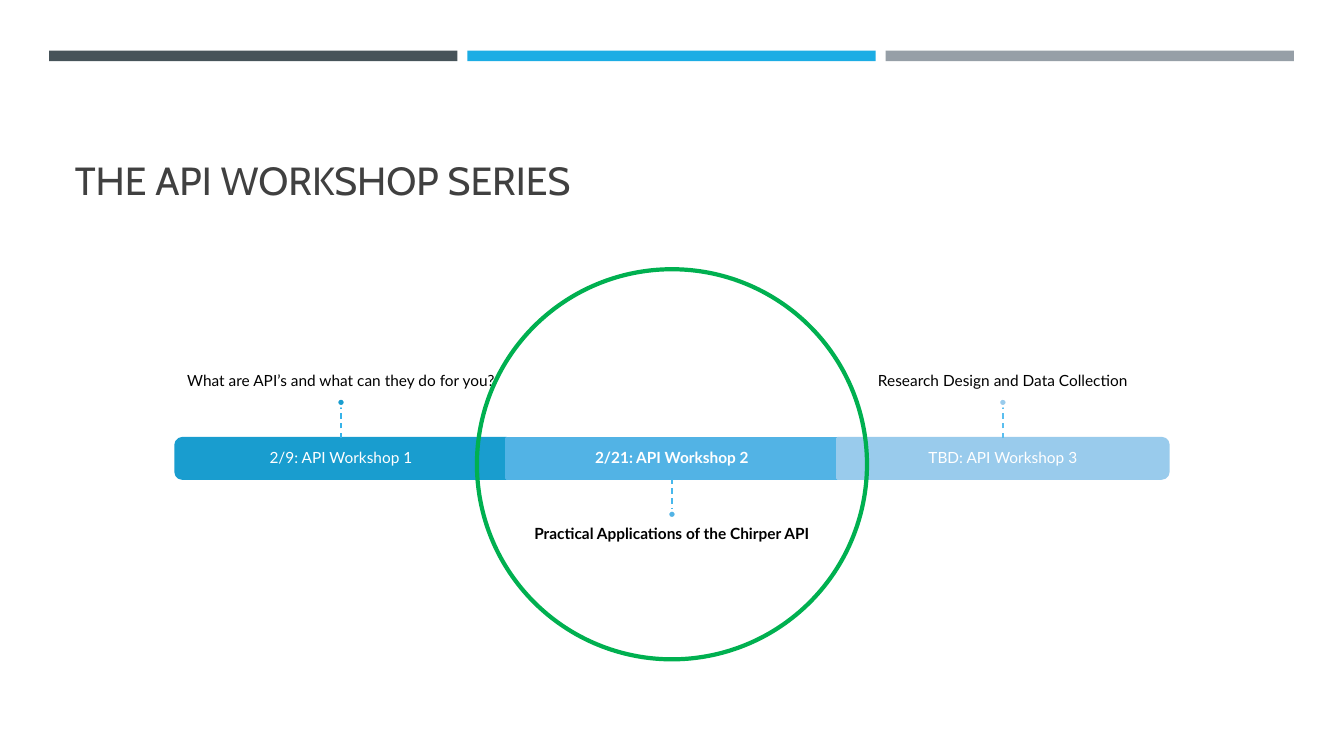
"""Build the API workshop series timeline slide."""
from dataclasses import dataclass

import pptx
import pptx.dml.color
import pptx.enum.dml
import pptx.enum.shapes
import pptx.enum.text
import pptx.oxml.ns
import pptx.util
from lxml import etree

Cm = pptx.util.Cm
Pt = pptx.util.Pt
RGBColor = pptx.dml.color.RGBColor
SHAPE = pptx.enum.shapes.MSO_SHAPE
ANCHOR = pptx.enum.text.MSO_ANCHOR
ALIGN = pptx.enum.text.PP_ALIGN

WHITE = RGBColor(0xFF, 0xFF, 0xFF)
BLACK = RGBColor(0x00, 0x00, 0x00)
TITLE_GREY = RGBColor(0x40, 0x40, 0x40)
GREEN = RGBColor(0x00, 0xB0, 0x50)
STRIPES = (RGBColor(0x46, 0x53, 0x59), RGBColor(0x1C, 0xAD, 0xE4), RGBColor(0x96, 0x9F, 0xA7))

SLIDE_W, SLIDE_H = 33.87, 19.05
CENTER_X = SLIDE_W / 2
STRIPE_LEFT, STRIPE_PITCH, STRIPE_W = 1.24, 10.54, 10.29
BAR_W, BAR_H, BAR_Y = 8.34, 1.02, 11.55
LABEL_W, LABEL_H = 13.92, 3.53
STEM, DOT, INSET = 0.8, 0.2, 0.23
CIRCLE_D, CIRCLE_Y = 9.83, 11.7


@dataclass
class Workshop:
    heading: str
    topic: str
    fill: RGBColor
    stem: RGBColor
    shape: int
    rotation: int = 0
    below: bool = False


WORKSHOPS = (
    Workshop("2/9: API Workshop 1", "What are API’s and what can they do for you?",
             RGBColor(0x19, 0x9D, 0xCF), RGBColor(0x36, 0xB3, 0xE9),
             SHAPE.ROUND_2_SAME_RECTANGLE, rotation=270),
    Workshop("2/21: API Workshop 2", "Practical Applications of the Chirper API",
             RGBColor(0x52, 0xB3, 0xE5), RGBColor(0x48, 0xB8, 0xEC),
             SHAPE.RECTANGLE, below=True),
    Workshop("TBD: API Workshop 3", "Research Design and Data Collection",
             RGBColor(0x99, 0xCB, 0xEC), RGBColor(0x5A, 0xBE, 0xEF),
             SHAPE.ROUND_2_SAME_RECTANGLE, rotation=90),
)


def add_shape(slide, kind: int, cx: float, cy: float, w: float, h: float, *,
              fill: RGBColor | None = None, line: RGBColor | None = None,
              weight: float = 1.75, rotation: int = 0) -> None:
    """Draw a preset shape around a centre point, in centimetres."""
    sp = slide.shapes.add_shape(kind, Cm(cx - w / 2), Cm(cy - h / 2), Cm(w), Cm(h))
    sp.shadow.inherit = False
    sp.rotation = rotation
    if fill is None:
        sp.fill.background()
    else:
        sp.fill.solid()
        sp.fill.fore_color.rgb = fill
    if line is None:
        sp.line.fill.background()
    else:
        sp.line.color.rgb = line
        sp.line.width = Pt(weight)


def write(tf, text: str, *, font: str, size: float, color: RGBColor, align: int,
          anchor: int, bold: bool = False, spacing: float = 0.9) -> None:
    """Put one formatted paragraph in a text frame."""
    tf.word_wrap = True
    tf.vertical_anchor = anchor
    p = tf.paragraphs[0]
    p.alignment = align
    p.line_spacing = spacing
    r = p.add_run()
    r.text = text
    r.font.name = font
    r.font.size = Pt(size)
    r.font.bold = bold
    r.font.color.rgb = color


def add_label(slide, text: str, cx: float, top: float, w: float, h: float, *,
              color: RGBColor, anchor: int, bold: bool) -> None:
    """Add a centred text box with equal upper and lower insets."""
    tf = slide.shapes.add_textbox(Cm(cx - w / 2), Cm(top), Cm(w), Cm(h)).text_frame
    tf.margin_left = tf.margin_right = 0
    tf.margin_top = tf.margin_bottom = Cm(INSET)
    write(tf, text, font="Lato", size=11, color=color, align=ALIGN.CENTER,
          anchor=anchor, bold=bold)


def add_stem(slide, x: float, y1: float, y2: float, color: RGBColor) -> None:
    """Draw a dashed vertical line."""
    cxn = slide.shapes.add_connector(pptx.enum.shapes.MSO_CONNECTOR.STRAIGHT,
                                     Cm(x), Cm(y1), Cm(x), Cm(y2))
    cxn.line.color.rgb = color
    cxn.line.width = Pt(1)
    cxn.line.dash_style = pptx.enum.dml.MSO_LINE.DASH
    etree.SubElement(cxn._element.spPr, pptx.oxml.ns.qn("a:effectLst"))


def add_workshop(slide, item: Workshop, cx: float) -> None:
    """Draw one timeline segment with its stem, dot and topic."""
    w, h = (BAR_H, BAR_W) if item.rotation else (BAR_W, BAR_H)
    add_shape(slide, item.shape, cx, BAR_Y, w, h, fill=item.fill, line=item.fill,
              rotation=item.rotation)
    add_label(slide, item.heading, cx, BAR_Y - BAR_H / 2, BAR_W, BAR_H,
              color=WHITE, anchor=ANCHOR.MIDDLE, bold=item.below)
    side = 1 if item.below else -1
    edge = BAR_Y + side * BAR_H / 2
    tip = edge + side * STEM
    label_edge = tip + side * DOT
    add_label(slide, item.topic, cx, label_edge if item.below else label_edge - LABEL_H,
              LABEL_W, LABEL_H, color=BLACK,
              anchor=ANCHOR.TOP if item.below else ANCHOR.BOTTOM, bold=item.below)
    add_stem(slide, cx, edge, tip, item.stem)
    add_shape(slide, SHAPE.OVAL, cx, tip + side * DOT / 2, DOT, DOT,
              fill=item.fill, line=WHITE)


def main() -> None:
    """Create and save the slide."""
    prs = pptx.Presentation()
    prs.slide_width, prs.slide_height = Cm(SLIDE_W), Cm(SLIDE_H)
    slide = prs.slides.add_slide(prs.slide_layouts[5])

    for i, color in enumerate(STRIPES):
        add_shape(slide, SHAPE.RECTANGLE, STRIPE_LEFT + STRIPE_W / 2 + i * STRIPE_PITCH,
                  1.41, STRIPE_W, 0.27, fill=color)

    title = slide.shapes.title
    title.left, title.top, title.width, title.height = Cm(1.63), Cm(1.96), Cm(30.63), Cm(3.3)
    write(title.text_frame, "THE API WORKSHOP SERIES", font="Cabin", size=28,
          color=TITLE_GREY, align=ALIGN.LEFT, anchor=ANCHOR.BOTTOM)

    for i, item in enumerate(WORKSHOPS):
        add_workshop(slide, item, CENTER_X + (i - 1) * BAR_W)

    add_shape(slide, SHAPE.OVAL, CENTER_X, CIRCLE_Y, CIRCLE_D, CIRCLE_D, line=GREEN, weight=3)
    prs.save("out.pptx")


if __name__ == "__main__":
    main()
